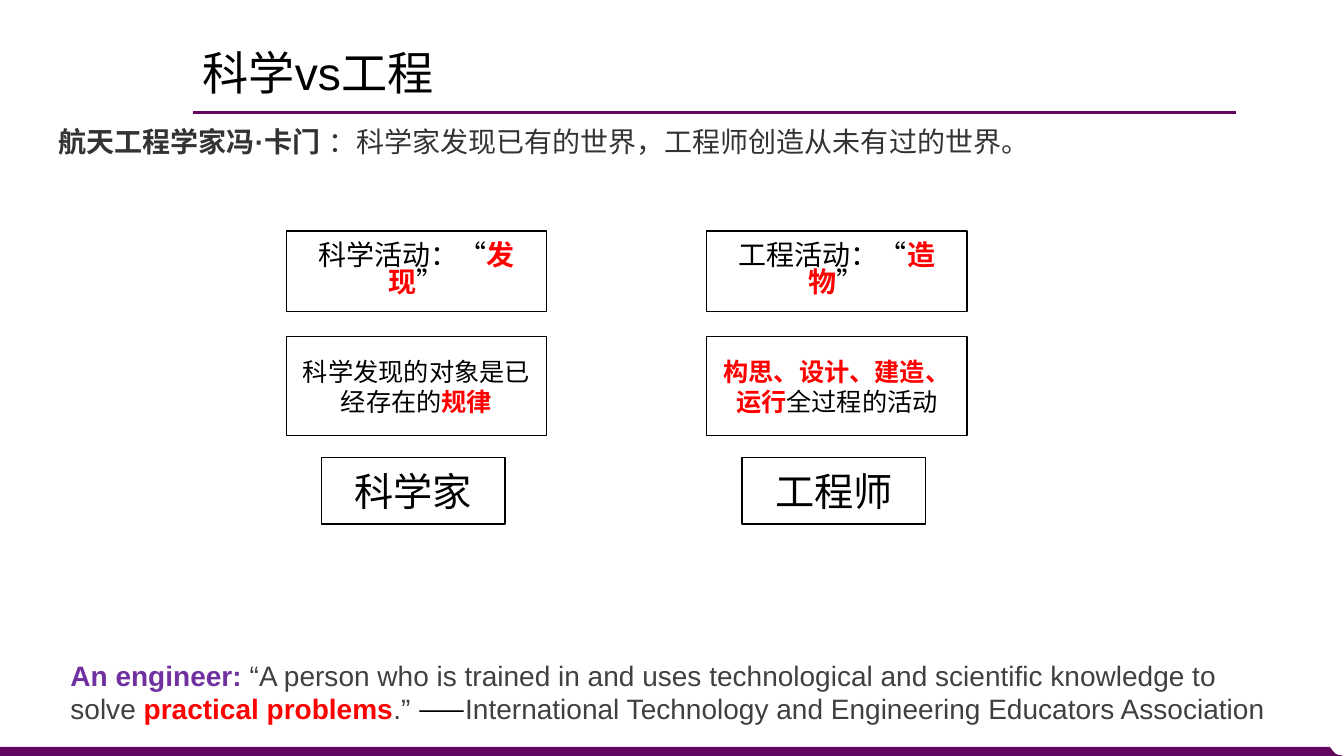
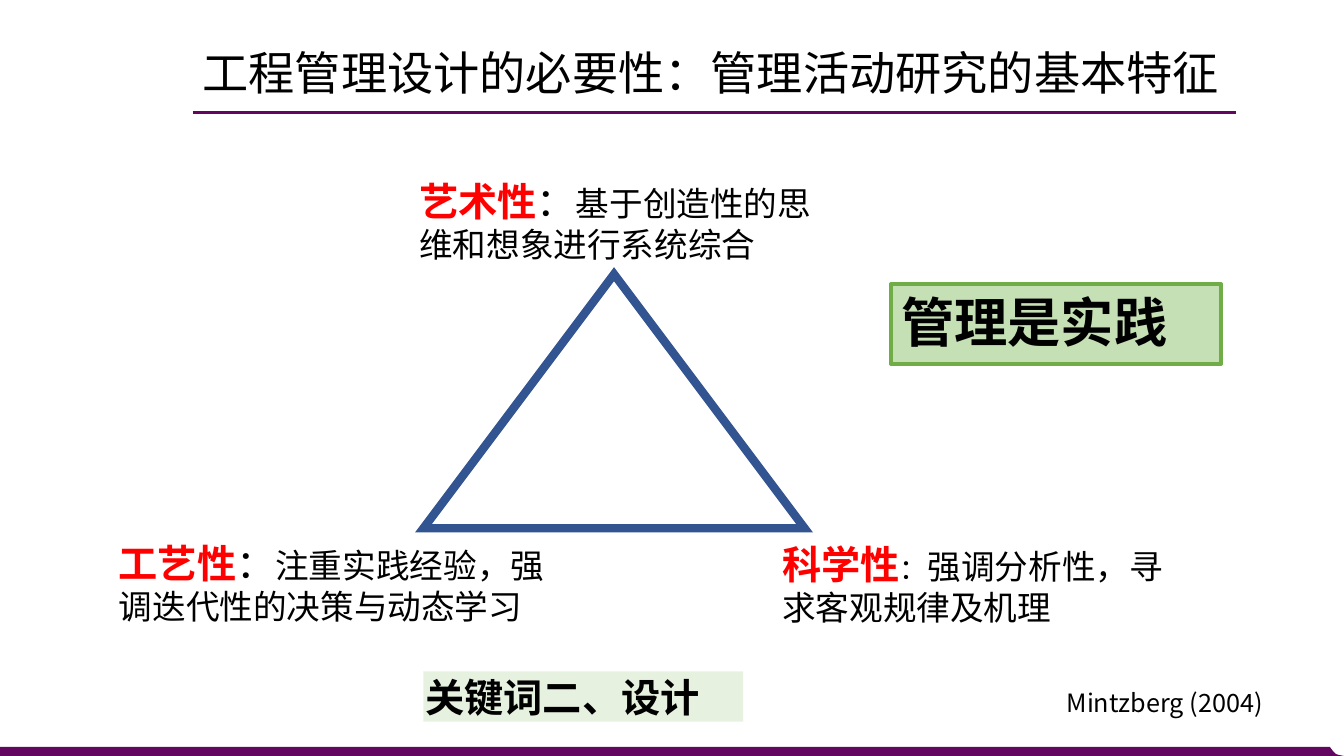
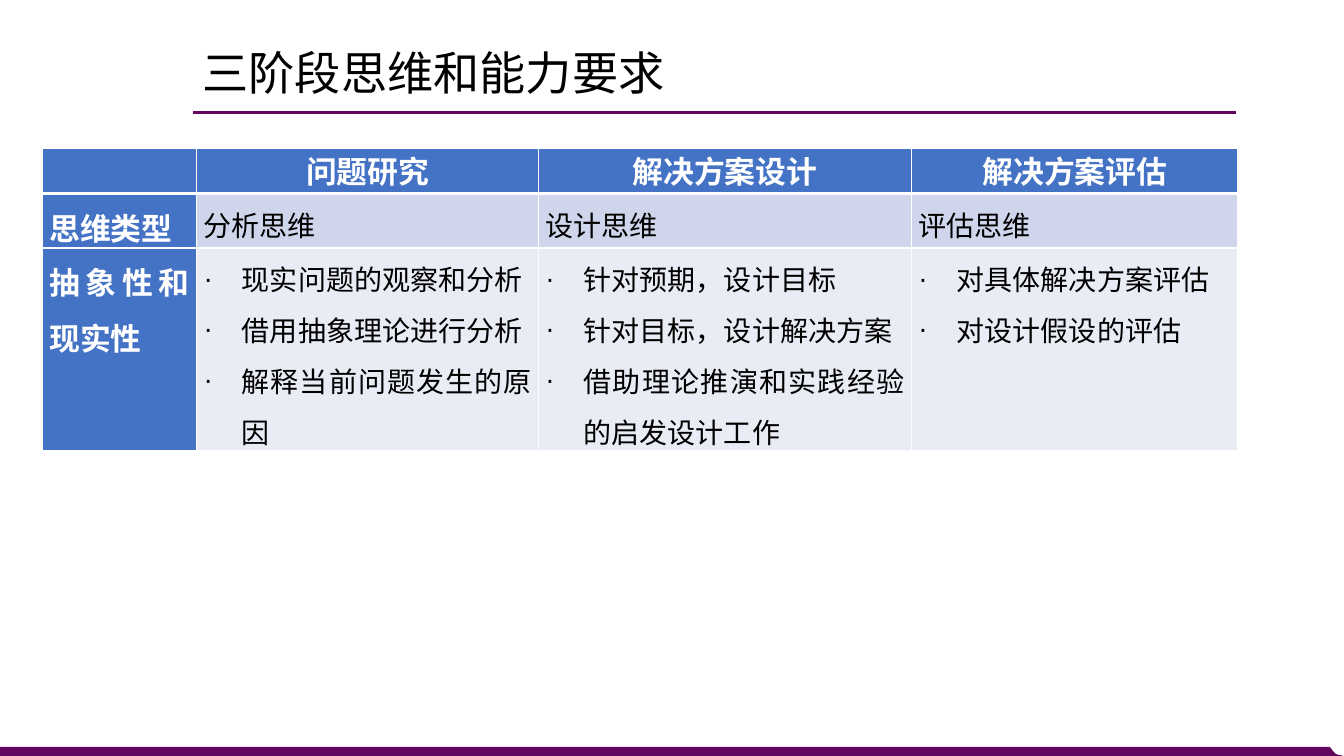
from lxml import etree
from pptx import Presentation
from pptx.dml.color import RGBColor
from pptx.enum.shapes import MSO_CONNECTOR, MSO_SHAPE
from pptx.enum.text import MSO_ANCHOR, MSO_AUTO_SIZE, PP_ALIGN
from pptx.oxml.ns import qn
from pptx.util import Inches, Pt

RECTANGLE, TRIANGLE = MSO_SHAPE.RECTANGLE, MSO_SHAPE.ISOSCELES_TRIANGLE
STRAIGHT = MSO_CONNECTOR.STRAIGHT
LEFT, CENTER, JUSTIFY = PP_ALIGN.LEFT, PP_ALIGN.CENTER, PP_ALIGN.JUSTIFY
TOP, MIDDLE = MSO_ANCHOR.TOP, MSO_ANCHOR.MIDDLE
FIT_SHAPE = MSO_AUTO_SIZE.SHAPE_TO_FIT_TEXT

WIDTH, HEIGHT = 13.33, 7.5
SANS, CJK = "Arial", "Noto Sans CJK SC"
COLORS = {
    "black": "000000", "white": "FFFFFF", "red": "FF0000", "purple": "63065F",
    "violet": "7030A0", "charcoal": "333333", "gray": "404040",
    "navy": "325491", "green": "70AD47", "light green": "C5E0B4",
    "pale green": "E2F0D9", "blue": "4472C4", "band": "CFD5EA",
    "pale band": "E9EBF5",
}

# Content: a span is (text, size, color, bold[, font])
QUOTE = [("航天工程学家冯·卡门 ", 20, "charcoal", True),
         ("：科学家发现已有的世界，工程师创造从未有过的世界。", 20, "charcoal", False)]
DEFINITION = [
    ("An engineer: ", 20, "violet", True),
    ("“A person who is trained in and uses technological and scientific "
     "knowledge to solve", 20, "gray", False),
    (" practical problems", 20, "red", True),
    (".” ", 20, "gray", False),
    ("——", 20, "black", False, CJK),
    ("International Technology and Engineering Educators Association",
     20, "gray", False),
]
OPEN_QUOTE = ("“", 20, "black", False, CJK)
CLOSE_QUOTE = ("”", 20, "black", False, CJK)
COMPARISON = [
    [[("科学活动：", 20, "black", False), OPEN_QUOTE,
      ("发现", 20, "red", True), CLOSE_QUOTE],
     [("科学发现的对象是已经存在的", 18, "black", False), ("规律", 18, "red", True)],
     [("科学家", 28, "black", False)]],
    [[("工程活动：", 20, "black", False), OPEN_QUOTE,
      ("造物", 20, "red", True), CLOSE_QUOTE],
     [("构思、设计、建造、运行", 18, "red", True),
      ("全过程的活动", 18, "black", False)],
     [("工程师", 28, "black", False)]],
]
COMPARISON_LEFTS = [2.84, 7.01]
# Rows: indent, top, width, height, line spacing
COMPARISON_ROWS = [(0, 2.29, 2.58, 0.8, 0.8), (0, 3.34, 2.58, 0.98, 1),
                   (0.35, 4.54, 1.82, 0.66, 1)]

# Triangle corners: name, colon size, description, place
CORNERS = [
    ("艺术性", 28, "基于创造性的思维和想象进行系统综合", (4.06, 1.71, 4.31, 0.98)),
    ("科学性", 20, "强调分析性，寻求客观规律及机理", (7.66, 5.31, 4.2, 0.98)),
    ("工艺性", 28, "注重实践经验，强调迭代性的决策与动态学习", (1.08, 5.3, 4.61, 0.98)),
]

STAGES = [
    [[], ["问题研究"], ["解决方案设计"], ["解决方案评估"]],
    [["思维类型"], ["分析思维"], ["设计思维"], ["评估思维"]],
    [["抽象性和现实性"],
     ["现实问题的观察和分析", "借用抽象理论进行分析", "解释当前问题发生的原因"],
     ["针对预期，设计目标", "针对目标，设计解决方案", "借助理论推演和实践经验的启发设计工作"],
     ["对具体解决方案评估", "对设计假设的评估"]],
]
STAGE_COLUMNS = [1.53, 3.39, 3.7, 3.24]
STAGE_ROWS = [0.45, 0.54, 2.01]
ROW_FILLS = ["blue", "band", "pale band"]


def rgb(name):
    return RGBColor.from_string(COLORS[name])


def inches(values):
    return [Inches(value) for value in values]


def add_spans(para, spans):
    for text, size, color, bold, *font in spans:
        span = para.add_run()
        span.text = text
        span.font.size = Pt(size)
        span.font.bold = bold
        span.font.color.rgb = rgb(color)
        span.font.name = font[0] if font else SANS
        # East Asian characters follow the same font
        east = etree.SubElement(span.font._element, qn("a:ea"))
        east.set("typeface", span.font.name)


def add_text(slide, place, spans, wrap=True, fit=True):
    box = slide.shapes.add_textbox(*inches(place))
    frame = box.text_frame
    frame.word_wrap = wrap
    if fit:
        frame.auto_size = FIT_SHAPE
    add_spans(frame.paragraphs[0], spans)
    return frame


def add_box(slide, place, spans=(), kind=RECTANGLE, fill=None, line=None,
            weight=1, align=CENTER, anchor=MIDDLE):
    box = slide.shapes.add_shape(kind, *inches(place))
    box.shadow.inherit = False
    if fill:
        box.fill.solid()
        box.fill.fore_color.rgb = rgb(fill)
    else:
        box.fill.background()
    if line:
        box.line.color.rgb = rgb(line)
        box.line.width = Pt(weight)
    else:
        box.line.fill.background()
    box.text_frame.word_wrap = True
    box.text_frame.vertical_anchor = anchor
    para = box.text_frame.paragraphs[0]
    para.alignment = align
    add_spans(para, spans)
    return box


def add_page(deck, title, title_width):
    slide = deck.slides.add_slide(deck.slide_layouts[6])
    # Footer band with a curved right end
    builder = slide.shapes.build_freeform(0, Inches(7.41))
    outline = [(13.19, 7.41), (13.22, 7.45), (13.25, 7.48), (13.28, 7.49),
               (WIDTH, HEIGHT), (0, HEIGHT)]
    builder.add_line_segments([inches(point) for point in outline])
    band = builder.convert_to_shape()
    band.shadow.inherit = False
    band.fill.solid()
    band.fill.fore_color.rgb = rgb("purple")
    band.line.fill.background()
    # Rule and title
    rule = slide.shapes.add_connector(STRAIGHT, *inches((1.91, 1.12, 12.26, 1.12)))
    rule.line.color.rgb = rgb("purple")
    rule.line.width = Pt(2.25)
    etree.SubElement(rule._element.spPr, qn("a:effectLst"))
    frame = add_text(slide, (1.91, 0.46, title_width, 0.53),
                     [(title, 33, "black", False)], fit=False)
    frame.margin_top, frame.margin_bottom = Inches(0.04), 0
    frame.paragraphs[0].line_spacing = 0.9
    return slide


def set_borders(cell, bottom):
    properties = cell._tc.get_or_add_tcPr()
    for index, side in enumerate("LRTB"):
        border = etree.Element(qn(f"a:ln{side}"))
        border.set("w", str(Pt(bottom if side == "B" else 1)))
        fill = etree.SubElement(border, qn("a:solidFill"))
        etree.SubElement(fill, qn("a:srgbClr")).set("val", COLORS["white"])
        properties.insert(index, border)


def add_bullet(para):
    properties = para._p.get_or_add_pPr()
    properties.set("marL", str(Inches(0.38)))
    properties.set("indent", str(-Inches(0.38)))
    etree.SubElement(properties, qn("a:buFont")).set("typeface", SANS)
    etree.SubElement(properties, qn("a:buChar")).set("char", "·")


def fill_cell(cell, lines, row, column):
    heading = row == 0 or column == 0
    cell.fill.solid()
    cell.fill.fore_color.rgb = rgb("blue" if heading else ROW_FILLS[row])
    set_borders(cell, 3 if row == 0 else 1)
    cell.margin_left = cell.margin_right = Inches(0.07)
    cell.margin_top = cell.margin_bottom = 0
    style = (22, "white", True, CJK) if heading else (20, "black", False, CJK)
    frame = cell.text_frame
    for index, line in enumerate(lines):
        para = frame.add_paragraph() if index else frame.paragraphs[0]
        para.alignment = JUSTIFY if row else CENTER
        if row:
            para.line_spacing = 1.25
        if row == 2 and column:
            add_bullet(para)
        add_spans(para, [(line, *style)])


def build_comparison(deck):
    slide = add_page(deck, "科学vs工程", 7.17)
    add_text(slide, (0.48, 1.19, 11.88, 0.44), QUOTE)
    for left, column in zip(COMPARISON_LEFTS, COMPARISON):
        for (indent, top, width, height, spacing), spans in zip(COMPARISON_ROWS, column):
            box = add_box(slide, (left + indent, top, width, height), spans,
                          line="black")
            box.text_frame.paragraphs[0].line_spacing = float(spacing)
    frame = add_text(slide, (0.6, 6.48, 12.12, 0.77), DEFINITION)
    frame.paragraphs[0].space_after = Pt(11.2)


def build_triangle(deck):
    slide = add_page(deck, "工程管理设计的必要性：管理活动研究的基本特征", 10.46)
    triangle = add_box(slide, (4.2, 2.72, 3.78, 2.52), kind=TRIANGLE,
                       line="navy", weight=6)
    outline = triangle._element.spPr.find(qn("a:ln"))
    etree.SubElement(outline, qn("a:miter")).set("lim", "800000")
    for name, colon_size, description, place in CORNERS:
        add_text(slide, place, [(name, 28, "red", True),
                                ("：", colon_size, "black", False),
                                (description, 24, "black", False)])
    add_text(slide, (10.48, 6.77, 2.28, 0.4),
             [("Mintzberg (2004)", 18, "black", False, CJK)], wrap=False)
    add_box(slide, (8.84, 2.82, 3.27, 0.79), [("管理是实践", 38, "black", True)],
            fill="light green", line="green", weight=3, align=LEFT, anchor=TOP)
    # Translucent keyword label
    keyword = add_box(slide, (4.2, 6.66, 3.17, 0.5),
                      [("关键词二、设计", 28, "black", True)],
                      fill="pale green", align=LEFT)
    frame = keyword.text_frame
    frame.margin_left = frame.margin_right = Inches(0.02)
    frame.margin_top = frame.margin_bottom = Inches(0.01)
    color = keyword._element.spPr.find(qn("a:solidFill"))[0]
    etree.SubElement(color, qn("a:alpha")).set("val", "83000")


def build_stages(deck):
    slide = add_page(deck, "三阶段思维和能力要求", 6.03)
    place = (0.42, 1.47, sum(STAGE_COLUMNS), sum(STAGE_ROWS))
    table = slide.shapes.add_table(len(STAGE_ROWS), len(STAGE_COLUMNS),
                                   *inches(place)).table
    table.first_row = table.horz_banding = False
    for column, width in zip(table.columns, STAGE_COLUMNS):
        column.width = Inches(width)
    for row, height in zip(table.rows, STAGE_ROWS):
        row.height = Inches(height)
    for row, cells in enumerate(STAGES):
        for column, lines in enumerate(cells):
            fill_cell(table.cell(row, column), lines, row, column)


def main():
    deck = Presentation()
    deck.slide_width, deck.slide_height = inches((WIDTH, HEIGHT))
    build_comparison(deck)
    build_triangle(deck)
    build_stages(deck)
    deck.save("out.pptx")


if __name__ == "__main__":
    main()
